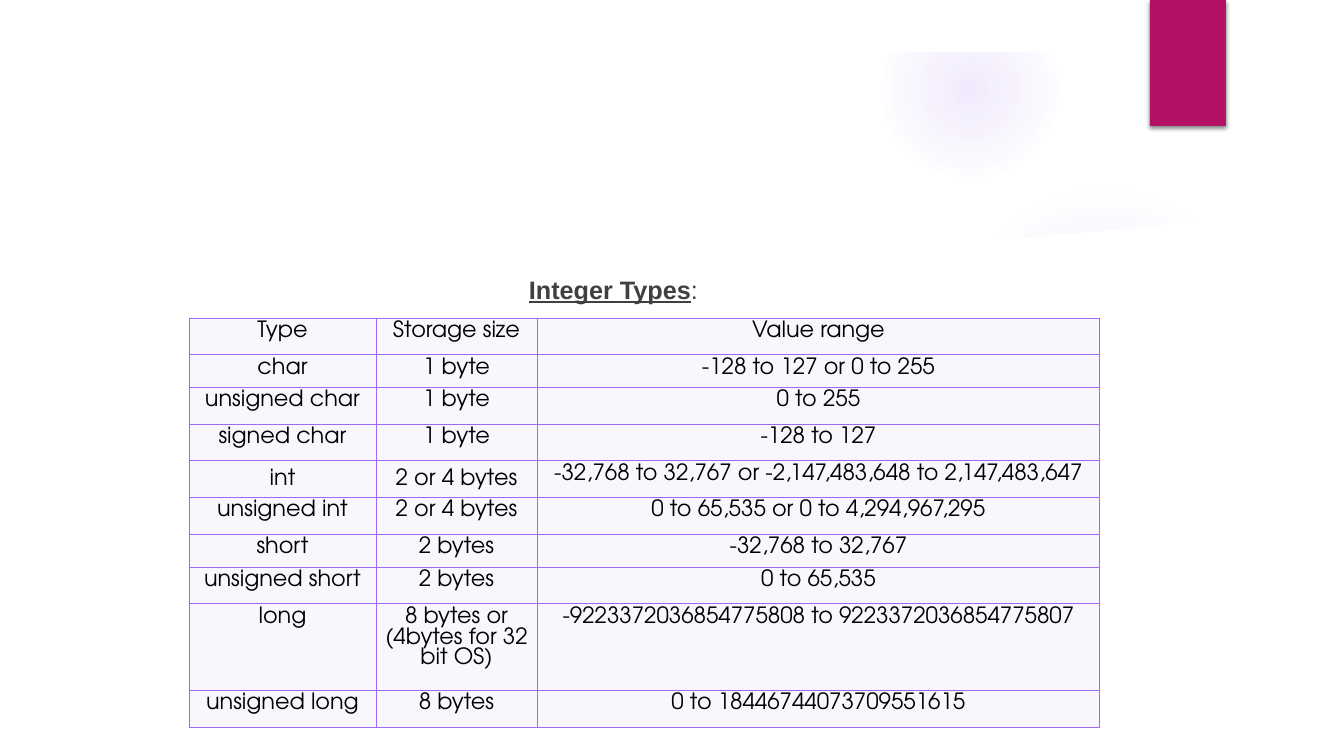
"""Build a slide with a table of C integer types."""
import pptx
import pptx.util
import pptx.dml.color
import pptx.enum.shapes
import pptx.enum.text
import pptx.oxml
import pptx.oxml.ns
import lxml.etree

SCALE = 914400 / 100.8
WHITE = pptx.dml.color.RGBColor(0xFF, 0xFF, 0xFF)
BLACK = pptx.dml.color.RGBColor(0, 0, 0)
GREY = pptx.dml.color.RGBColor(0x40, 0x40, 0x40)
PURPLE = pptx.dml.color.RGBColor(0x9B, 0x6B, 0xF2)
PALE = pptx.dml.color.RGBColor(0xF8, 0xF7, 0xFE)
MAGENTA = pptx.dml.color.RGBColor(0xB3, 0x11, 0x66)
NS = pptx.oxml.ns.nsdecls("a")


def px(n):
    return pptx.util.Emu(round(n * SCALE))


def paint(sp, color):
    sp.shadow.inherit = False
    sp.line.fill.background()
    sp.fill.solid()
    sp.fill.fore_color.rgb = color


prs = pptx.Presentation()
prs.slide_width, prs.slide_height = px(1344), px(756)
s = prs.slides.add_slide(prs.slide_layouts[6])
shapes = s.shapes

glows = [
    (949, 184, 310, [(0, 7), (36, 6), (69, 0)]),
    (882, 1, 176, [(0, 14), (36, 7), (73, 0)]),
]
for x, y, size, stops in glows:
    sp = shapes.add_shape(pptx.enum.shapes.MSO_SHAPE.OVAL, px(x), px(y), px(size), px(size))
    paint(sp, PURPLE)
    gs = "".join(
        f'<a:gs pos="{pos * 1000}"><a:srgbClr val="{PURPLE}"><a:alpha val="{alpha * 1000}"/></a:srgbClr></a:gs>'
        for pos, alpha in stops
    )
    grad = pptx.oxml.parse_xml(
        f'<a:gradFill {NS}><a:gsLst>{gs}</a:gsLst><a:path path="circle">'
        '<a:fillToRect l="50000" t="50000" r="50000" b="50000"/></a:path></a:gradFill>'
    )
    spPr = sp.element.spPr
    spPr.replace(spPr.find(pptx.oxml.ns.qn("a:solidFill")), grad)

panel = [
    (50, 206), (50, 706), (1294, 706), (1294, 206), (1210, 219), (1125, 229), (1012, 239), (928, 244),
    (792, 249), (637, 250), (492, 246), (363, 238), (251, 229), (136, 216),
]
outer = [(0, 0), (0, 756), (1344, 756), (1344, 0)]
inner = [(1291, 704), (52, 704), (52, 52), (1291, 52)]
for contours in [[panel], [outer, inner]]:
    fb = shapes.build_freeform(*contours[0][0], scale=SCALE)
    for i, points in enumerate(contours):
        if i:
            fb.move_to(*points[0])
        fb.add_line_segments(points[1:], close=True)
    paint(fb.convert_to_shape(), WHITE)

tab = shapes.add_shape(pptx.enum.shapes.MSO_SHAPE.RECTANGLE, px(1150), px(0), px(76), px(126))
paint(tab, MAGENTA)
effects = tab.element.spPr.find(pptx.oxml.ns.qn("a:effectLst"))
effects.append(pptx.oxml.parse_xml(
    f'<a:outerShdw {NS} blurRad="38100" dist="25400" dir="5400000" rotWithShape="0">'
    '<a:srgbClr val="000000"><a:alpha val="45000"/></a:srgbClr></a:outerShdw>'
))

title = shapes.add_textbox(px(127), px(269), px(973), px(44))
tf = title.text_frame
tf.word_wrap = True
p = tf.paragraphs[0]
p.alignment = pptx.enum.text.PP_ALIGN.CENTER
p.space_before = pptx.util.Pt(10)
for text, strong in [("Integer Types", True), (":", False)]:
    r = p.add_run()
    r.text = text
    r.font.name = "Arial"
    r.font.size = pptx.util.Pt(18)
    r.font.bold = r.font.underline = strong
    r.font.color.rgb = GREY

rows = [
    ("Type", "Storage size", "Value range"),
    ("char", "1 byte", "-128 to 127 or 0 to 255"),
    ("unsigned char", "1 byte", "0 to 255"),
    ("signed char", "1 byte", "-128 to 127"),
    ("int", "2 or 4 bytes", "-32,768 to 32,767 or -2,147,483,648 to 2,147,483,647"),
    ("unsigned int", "2 or 4 bytes", "0 to 65,535 or 0 to 4,294,967,295"),
    ("short", "2 bytes", "-32,768 to 32,767"),
    ("unsigned short", "2 bytes", "0 to 65,535"),
    ("long", "8 bytes or (4bytes for 32 bit OS)", "-9223372036854775808 to 9223372036854775807"),
    ("unsigned long", "8 bytes", "0 to 18446744073709551615"),
]
widths = [187, 161, 563]
heights = {"char": 29, "short": 29, "long": 81}
frame = shapes.add_table(len(rows), len(widths), px(189), px(318), px(sum(widths)), px(396))
table = frame.table
table.first_row = table.horz_banding = False
for column, width in zip(table.columns, widths):
    column.width = px(width)
for i, row in enumerate(rows):
    table.rows[i].height = px(heights.get(row[0], 36.7))
    for j, text in enumerate(row):
        cell = table.cell(i, j)
        cell.margin_left = cell.margin_right = cell.margin_top = cell.margin_bottom = px(3)
        if row[0] == "int" and j < 2:
            cell.vertical_anchor = pptx.enum.text.MSO_ANCHOR.MIDDLE
        p = cell.text_frame.paragraphs[0]
        p.alignment = pptx.enum.text.PP_ALIGN.CENTER
        r = p.add_run()
        r.text = text
        r.font.name = "TeX Gyre Adventor"
        r.font.size = pptx.util.Pt(16)
        r.font.color.rgb = BLACK
        tcPr = cell._tc.get_or_add_tcPr()
        for side in ("lnL", "lnR", "lnT", "lnB"):
            tcPr.append(pptx.oxml.parse_xml(
                f'<a:{side} {NS} w="9525"><a:solidFill><a:srgbClr val="{PURPLE}"/></a:solidFill></a:{side}>'
            ))
        cell.fill.solid()
        cell.fill.fore_color.rgb = PALE

prs.save("out.pptx")
